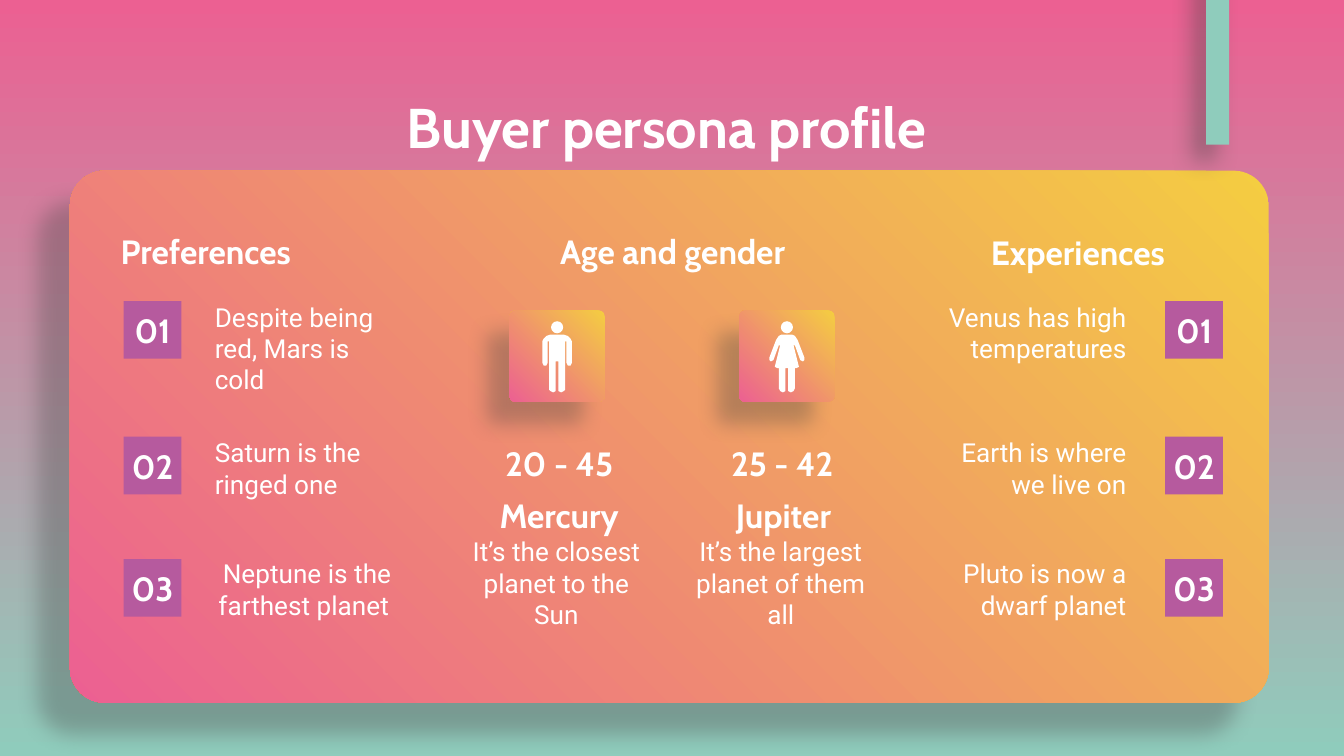
"""Build the buyer persona profile slide."""
from lxml import etree
from pptx import Presentation
from pptx.dml.color import RGBColor
from pptx.enum.shapes import MSO_SHAPE
from pptx.enum.text import MSO_ANCHOR, PP_ALIGN
from pptx.oxml.ns import qn
from pptx.util import Inches, Pt

RECT, ROUND, OVAL = MSO_SHAPE.RECTANGLE, MSO_SHAPE.ROUNDED_RECTANGLE, MSO_SHAPE.OVAL
TOP, MIDDLE = MSO_ANCHOR.TOP, MSO_ANCHOR.MIDDLE
LEFT, CENTER, RIGHT = PP_ALIGN.LEFT, PP_ALIGN.CENTER, PP_ALIGN.RIGHT
PINK = RGBColor(0xEC, 0x60, 0x92)
MINT = RGBColor(0x8F, 0xCC, 0xBC)
YELLOW = RGBColor(0xF4, 0xCD, 0x41)
PURPLE = RGBColor(0xB6, 0x5A, 0x9E)
WHITE = RGBColor(0xFF, 0xFF, 0xFF)
SHADOW = RGBColor(0x43, 0x43, 0x43)

TITLE_FONT = {"name": "Cabin", "size": Pt(30), "bold": True}
HEAD_FONT = {"name": "Cabin", "size": Pt(18), "bold": True}
BODY_FONT = {"name": "Roboto", "size": Pt(14), "bold": False}

TITLE = "Buyer persona profile "
HEADINGS = [
    ("Preferences", 0.8, 1.68, 2.33, LEFT),
    ("Age and gender", 3.84, 1.68, 2.33, CENTER),
    ("Experiences", 6.82, 1.69, 2.4, CENTER),
]
LISTS = [
    {"badge_x": 0.92, "text_x": 1.5, "items": [
        ("Despite being red, Mars is cold", LEFT),
        ("Saturn is the ringed one", LEFT),
        ("Neptune is the farthest planet ", CENTER)]},
    {"badge_x": 8.67, "text_x": 6.91, "items": [
        ("Venus has high temperatures", RIGHT),
        ("Earth is where we live on", RIGHT),
        ("Pluto is now a dwarf planet", RIGHT)]},
]
ROWS = [(2.24, 2.14), (3.25, 3.15), (4.16, 4.05)]
BADGE = 0.43

MAN = [(0.05, 0), (0.08, 0.01), (0.1, 0.03), (0.11, 0.05), (0.11, 0.21), (0.1, 0.23),
       (0.08, 0.23), (0.07, 0.21), (0.07, 0.05), (0.06, 0.05), (0.06, 0.41),
       (0.05, 0.42), (0.03, 0.43), (0.01, 0.42), (0.01, 0.2)]
WOMAN = [(0.04, 0), (0.06, 0.01), (0.08, 0.04), (0.13, 0.17), (0.13, 0.19), (0.12, 0.2),
         (0.1, 0.19), (0.06, 0.08), (0.05, 0.08), (0.09, 0.24), (0.07, 0.25),
         (0.06, 0.25), (0.06, 0.4), (0.05, 0.42), (0.03, 0.43), (0.01, 0.42), (0.01, 0.25)]
PERSONAS = [
    {"tile_x": 3.79, "text_x": 3.49, "age_x": 3.49, "outline": MAN, "age": "20 - 45",
     "name": "Mercury", "note": "It’s the closest planet to the Sun"},
    {"tile_x": 5.5, "text_x": 5.16, "age_x": 5.15, "outline": WOMAN, "age": "25 - 42",
     "name": "Jupiter", "note": "It’s the largest planet of them all"},
]


def fill_gradient(fill, colors, angle):
    fill.gradient()
    fill.gradient_angle = angle
    for stop, color in zip(fill.gradient_stops, colors):
        stop.color.rgb = color


def style(sp, color):
    sp.shadow.inherit = False
    sp.line.fill.background()
    sp.fill.solid()
    sp.fill.fore_color.rgb = color
    return sp


def add_shape(shapes, kind, box, color):
    return style(shapes.add_shape(kind, *map(Inches, box)), color)


def add_shadow(sp, alpha, blur, dist, angle):
    effects = sp.element.spPr.find(qn("a:effectLst"))
    shadow = etree.SubElement(effects, qn("a:outerShdw"), blurRad=str(Pt(blur)),
                              dist=str(Pt(dist)), dir=str(angle * 60000),
                              algn="bl", rotWithShape="0")
    color = etree.SubElement(shadow, qn("a:srgbClr"), val=str(SHADOW))
    etree.SubElement(color, qn("a:alpha"), val=str(alpha * 1000))


def add_panel(s, box, dist):
    sp = add_shape(s.shapes, ROUND, box, YELLOW)
    sp.adjustments[0] = 0.066
    fill_gradient(sp.fill, (YELLOW, PINK), 225)
    add_shadow(sp, 32, 11.2, dist, 135)


def add_text(s, text, box, font, align=CENTER, anchor=MIDDLE):
    tf = s.shapes.add_textbox(*map(Inches, box)).text_frame
    frame = {"word_wrap": True, "vertical_anchor": anchor}
    frame.update({f"margin_{side}": Inches(0.1) for side in ("left", "top", "right", "bottom")})
    for key, value in frame.items():
        setattr(tf, key, value)
    p = tf.paragraphs[0]
    p.alignment = align
    r = p.add_run()
    r.text = text
    for key, value in font.items():
        setattr(r.font, key, value)
    r.font.color.rgb = WHITE


def add_figure(s, center, half):
    group = s.shapes.add_group_shape()
    outline = half + [(-x, y) for x, y in reversed(half)]
    points = [(Inches(center + x), Inches(2.49 + y)) for x, y in outline]
    body = group.shapes.build_freeform(*points[0])
    body.add_line_segments(points[1:], close=True)
    style(body.convert_to_shape(), WHITE)
    add_shape(group.shapes, OVAL, (center - 0.045, 2.39, 0.09, 0.09), WHITE)


def main():
    prs = Presentation()
    prs.slide_width = Inches(10)
    prs.slide_height = prs.slide_width * 9 // 16
    s = prs.slides.add_slide(prs.slide_layouts[6])
    fill_gradient(s.background.fill, (PINK, MINT), 270)

    add_panel(s, (0.52, 1.27, 8.92, 3.96), 24)
    ribbon = add_shape(s.shapes, RECT, (8.32, 0.25, 1.48, 0.17), MINT)
    ribbon.rotation = 270
    add_shadow(ribbon, 43, 12.4, 11.2, 129)

    add_text(s, TITLE, (0.79, 0.59, 8.43, 0.52), TITLE_FONT, anchor=TOP)
    for text, x, y, w, align in HEADINGS:
        add_text(s, text, (x, y, w, 0.37), HEAD_FONT, align)

    for column in LISTS:
        x = column["badge_x"]
        rows = zip(ROWS, column["items"])
        for number, ((badge_y, text_y), (text, align)) in enumerate(rows, 1):
            add_shape(s.shapes, RECT, (x, badge_y, BADGE, BADGE), PURPLE)
            add_text(s, f"{number:02}", (x - 0.08, badge_y + 0.09, 0.59, 0.25), HEAD_FONT)
            add_text(s, text, (column["text_x"], text_y, 1.57, 0.5), BODY_FONT, align, TOP)

    for persona in PERSONAS:
        tile_x, x = persona["tile_x"], persona["text_x"]
        add_panel(s, (tile_x, 2.31, 0.71, 0.68), 16.5)
        add_figure(s, tile_x + 0.355, persona["outline"])
        add_text(s, persona["age"], (persona["age_x"], 3.26, 1.34, 0.37), HEAD_FONT)
        add_text(s, persona["name"], (x, 3.65, 1.34, 0.37), HEAD_FONT)
        add_text(s, persona["note"], (x - 0.15, 4.03, 1.6, 0.61), BODY_FONT)

    prs.save("out.pptx")


if __name__ == "__main__":
    main()
